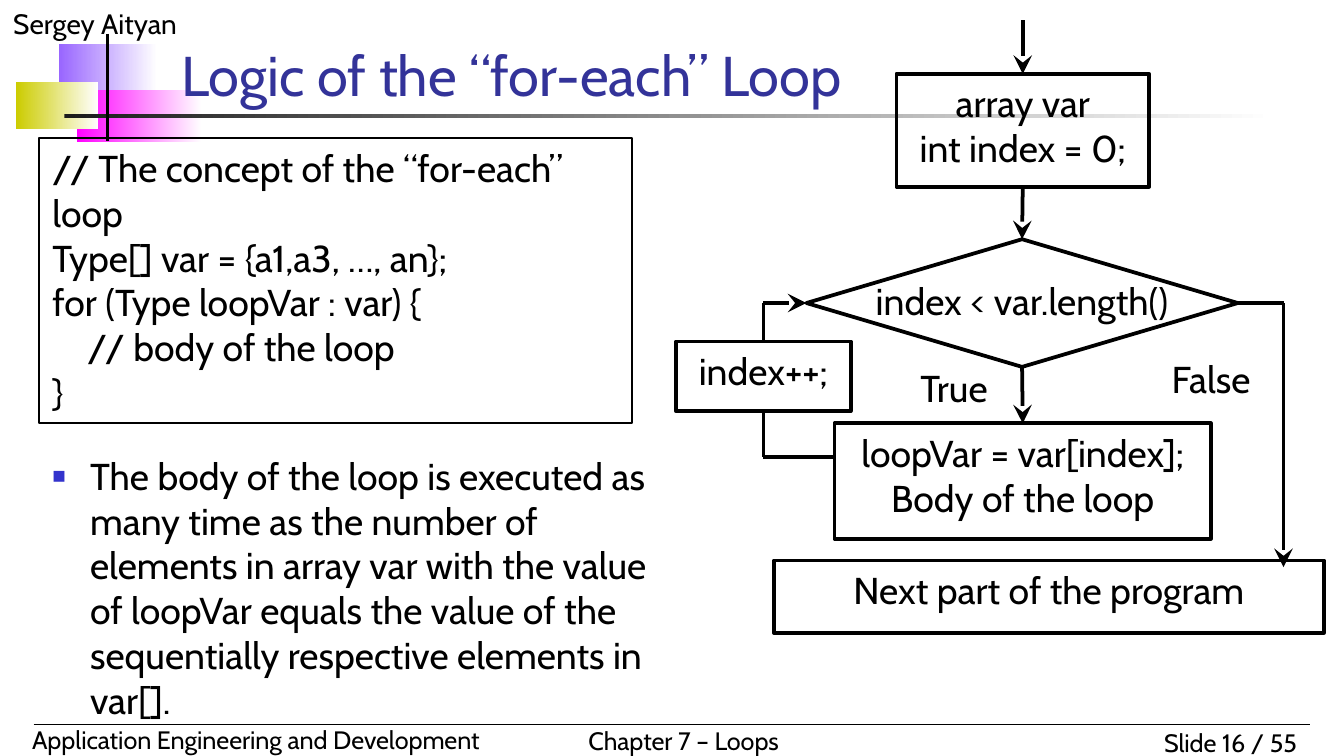
from dataclasses import dataclass

from lxml import etree
from pptx import Presentation
from pptx import util as u
from pptx.dml.color import RGBColor
from pptx.enum import shapes, text
from pptx.oxml.ns import qn

CELL = u.Inches(0.1)  # the slide is 100 columns by 56.25 rows
COLUMNS, ROWS = 100, 56.25
TOP, LEFT, BOTTOM, RIGHT = range(4)


@dataclass(frozen=True)
class Theme:
    font: str = "Cabin"
    ink: str = "000000"
    paper: str = "FFFFFF"
    title: str = "333399"
    bullet: str = "3333CC"
    violet: str = "9966FF"
    magenta: str = "FF00FF"
    olive: str = "CCCC00"
    rule: str = "1C1C1C"
    title_size: float = 30
    body_size: float = 20
    author_size: float = 15
    footer_size: float = 13.5
    flow_line: float = 2
    frame_line: float = 1
    footer_line: float = 0.75


THEME = Theme()


def cells(*counts):
    return [round(count * CELL) for count in counts]


def apply(target, values):
    for name, value in values.items():
        setattr(target, name, value)


def write(shape, lines, size=THEME.body_size, color=THEME.ink, align=text.PP_ALIGN.LEFT,
          wrap=True, anchor=text.MSO_ANCHOR.TOP):
    frame = shape.text_frame
    apply(frame, {"word_wrap": wrap, "auto_size": text.MSO_AUTO_SIZE.NONE,
                  "vertical_anchor": anchor})
    for number, line in enumerate(lines):
        para = frame.add_paragraph() if number else frame.paragraphs[0]
        apply(para, {"alignment": align, "space_before": u.Pt(0)})
        span = para.add_run()
        span.text = line
        apply(span.font, {"name": THEME.font, "size": u.Pt(size)})
        span.font.color.rgb = RGBColor.from_string(color)
    return frame.paragraphs


def outline(shape, width):
    shape.line.color.rgb = RGBColor.from_string(THEME.ink)
    shape.line.width = u.Pt(width)


def place(placeholder, page, area):
    """Move a placeholder to the area and in front of what is drawn so far."""
    apply(placeholder, dict(zip(("left", "top", "width", "height"), cells(*area))))
    page.shapes._spTree.append(placeholder._element)


def list_style(para, margin=0, hanging=0, bullet=None):
    style = para._p.get_or_add_pPr()
    style.set("marL", str(cells(margin)[0]))
    style.set("indent", str(cells(-hanging)[0]))
    if not bullet:
        etree.SubElement(style, qn("a:buNone"))
        return
    color = etree.SubElement(style, qn("a:buClr"))
    etree.SubElement(color, qn("a:srgbClr"), val=THEME.bullet)
    etree.SubElement(style, qn("a:buSzPct"), val="60000")
    etree.SubElement(style, qn("a:buChar"), char=bullet)


def add_fade(page, area, color):
    """Draw a bar that fades from the colour to the paper."""
    bar = page.shapes.add_shape(shapes.MSO_SHAPE.RECTANGLE, *cells(*area))
    bar.shadow.inherit = False
    bar.line.fill.background()
    bar.fill.gradient()
    bar.fill.gradient_angle = 0
    for stop, position, shade in zip(bar.fill.gradient_stops, (0, 1), (color, THEME.paper)):
        stop.position = position
        stop.color.rgb = RGBColor.from_string(shade)


def add_label(page, area, words, size=THEME.body_size, **options):
    box = page.shapes.add_textbox(*cells(*area))
    write(box, [words], size, **options)


def add_step(page, area, *lines, kind=shapes.MSO_SHAPE.RECTANGLE):
    step = page.shapes.add_shape(kind, *cells(*area))
    step.shadow.inherit = False
    step.fill.background()
    outline(step, THEME.flow_line)
    write(step, lines, align=text.PP_ALIGN.CENTER, wrap=False)
    return step


def add_line(page, start, end, arrow=False, width=THEME.flow_line):
    """Join two ends; each is a (column, row) point or a (step, side) pair."""
    points = [(0, 0) if hasattr(thing, "shape_id") else (thing, side)
              for thing, side in (start, end)]
    line = page.shapes.add_connector(shapes.MSO_CONNECTOR.STRAIGHT,
                                     *cells(*points[0], *points[1]))
    for (thing, side), join in ((start, line.begin_connect), (end, line.end_connect)):
        if hasattr(thing, "shape_id"):
            join(thing, side)
    outline(line, width)
    if arrow:
        etree.SubElement(line.line._get_or_add_ln(), qn("a:tailEnd"),
                         type="stealth", w="lg", len="lg")
    etree.SubElement(line._element.spPr, qn("a:effectLst"))


def add_decoration(page):
    for area, color in (((4.4, 3.3, 7.3, 3.9), THEME.violet),
                        ((5.7, 6.7, 9.3, 3.9), THEME.magenta),
                        ((1.2, 6.1, 6.1, 3.5), THEME.olive),
                        ((4.8, 8.5, 90, 0.3), THEME.rule)):
        add_fade(page, area, color)
    add_line(page, (8, 2.5), (8, 10.5))
    add_line(page, (2.5, 53.9), (97.5, 53.9), width=THEME.footer_line)
    add_label(page, (0, 0, 25, 3.5), "Sergey Aityan", THEME.author_size)
    add_label(page, (1.4, 53.4, 37, 3.3), "Application Engineering and Development",
              THEME.footer_size)
    add_label(page, (42.8, 53.5, 17.3, 3.3), "Chapter 7 – Loops", THEME.footer_size, wrap=False)
    add_label(page, (82.5, 53.6, 15, 3.3), "Slide 16 / 55", THEME.footer_size,
              align=text.PP_ALIGN.RIGHT)


def fill_placeholders(page):
    title, code, note = page.placeholders
    place(title, page, (12.5, 3.1, 54.2, 5.4))
    write(title, ["Logic of the “for-each” Loop"], THEME.title_size, THEME.title,
          anchor=text.MSO_ANCHOR.BOTTOM)

    place(code, page, (2.9, 10.3, 44.1, 21.2))
    outline(code, THEME.frame_line)
    listing = write(code, ["// The concept of the “for-each” loop",
                           "Type[] var = {a1,a3, …, an};",
                           "for (Type loopVar : var) {",
                           "// body of the loop",
                           "}"])
    for para, margin in zip(listing, (0, 0, 0, 2.6, 0)):
        list_style(para, margin)

    place(note, page, (2.9, 33.2, 46.5, 15.8))
    points = write(note, ["The body of the loop is executed as many time as the number of "
                          "elements in array var with the value of loopVar equals the value "
                          "of the sequentially respective elements in var[]."])
    list_style(points[0], 2.8, 2.8, "■")


def add_flowchart(page):
    setup = add_step(page, (66.7, 5.5, 18.8, 8.4), "array var", "int index = 0;")
    test = add_step(page, (60, 17.8, 32.1, 9.5), "index < var.length()",
                    kind=shapes.MSO_SHAPE.DIAMOND)
    body = add_step(page, (62.1, 31.5, 28, 8.6), "loopVar = var[index];", "Body of the loop")
    advance = add_step(page, (50.3, 25.4, 13, 5.2), "index++;")
    add_step(page, (57.6, 41.7, 40.9, 5.4), "Next part of the program")
    add_label(page, (67.5, 26.7, 8.6, 4.4), "True")
    add_label(page, (86.2, 26, 8.6, 4.4), "False")

    back, leave, test_row, body_row = 56.8, 95.5, 22.55, 34
    for start, end, arrow in (((76.1, 1.5), (setup, TOP), True),
                              ((setup, BOTTOM), (test, TOP), True),
                              ((test, BOTTOM), (body, TOP), True),
                              ((test, RIGHT), (leave, test_row), False),
                              ((leave, test_row), (leave, 42.2), True),
                              ((62.1, body_row), (back, body_row), False),
                              ((back, body_row), (advance, BOTTOM), False),
                              ((advance, TOP), (back, test_row), False),
                              ((back, test_row), (test, LEFT), True)):
        add_line(page, start, end, arrow)


def main():
    deck = Presentation()
    deck.slide_width, deck.slide_height = cells(COLUMNS, ROWS)
    page = deck.slides.add_slide(deck.slide_layouts.get_by_name("Two Content"))
    add_decoration(page)
    fill_placeholders(page)
    add_flowchart(page)
    deck.save("out.pptx")


if __name__ == "__main__":
    main()
